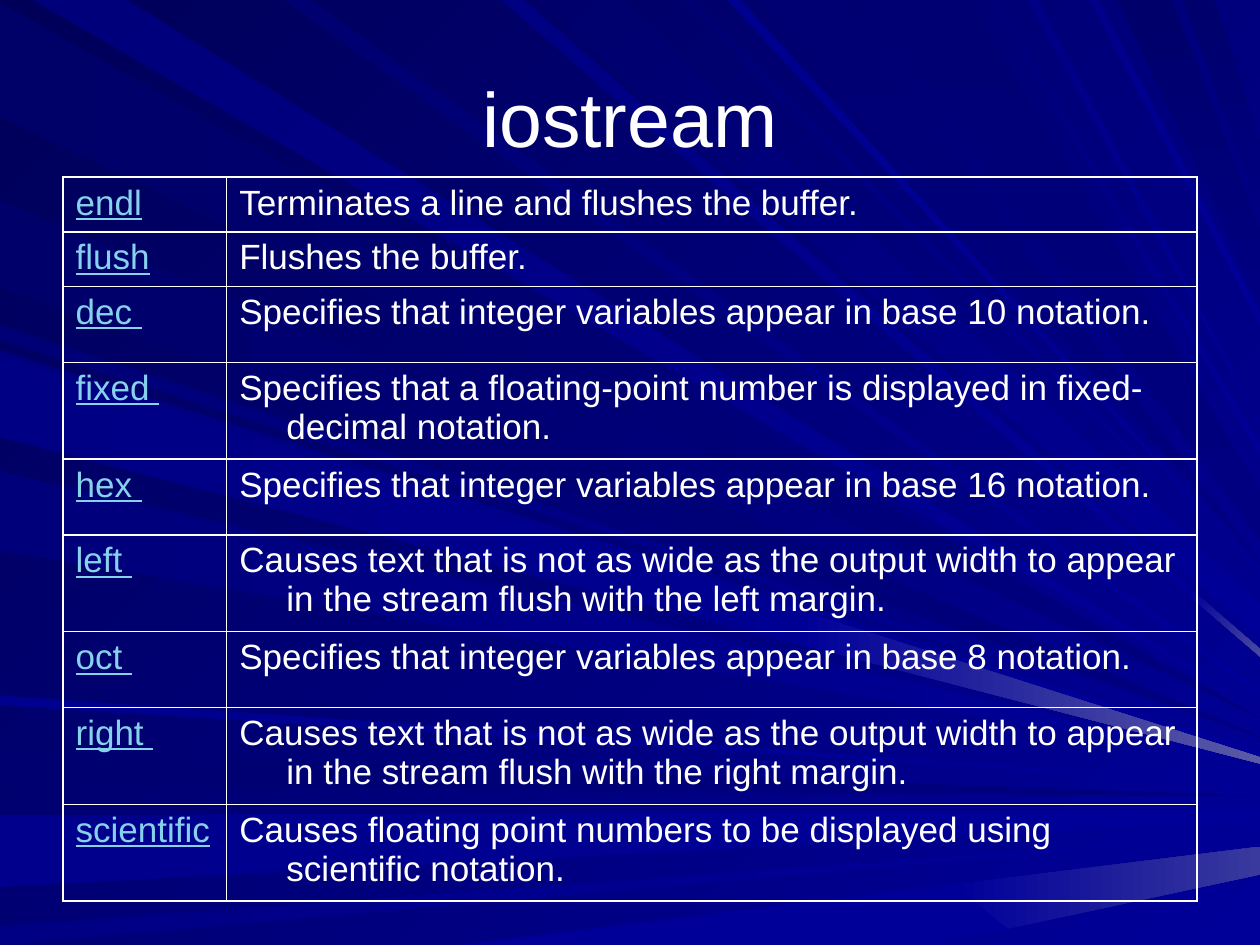
from dataclasses import dataclass
from typing import NamedTuple

from lxml import etree
from pptx import Presentation
from pptx.dml.color import RGBColor
from pptx.dml.fill import FillFormat
from pptx.enum.text import MSO_ANCHOR, PP_ALIGN
from pptx.oxml.ns import qn
from pptx.slide import Slide
from pptx.table import _Cell
from pptx.util import Cm, Length, Pt

MIDDLE = MSO_ANCHOR.MIDDLE
CENTER = PP_ALIGN.CENTER
BLANK_LAYOUT = 6


@dataclass(frozen=True)
class Theme:
    font: str = "Arial"
    text: str = "FFFFFF"
    keyword: str = "86D1EC"
    border: str = "FFFFFF"
    background_dark: str = "000058"
    ray_blue: str = "000080"
    light_blue: str = "000099"
    title_size: Length = Pt(44)
    body_size: Length = Pt(20)
    border_width: Length = Pt(1)


class Ray(NamedTuple):
    """A ray from the left or top edge to a tip on the right edge.

    Positions are in tenths of the page width.
    """
    edge: str
    near: float
    far: float
    tip: float
    start: str
    end: str
    spread: float = 0


class Glow(NamedTuple):
    """A brighter stretch of a ray."""
    corners: list[tuple[float, float]]
    end: str
    angle: int = 0


class Entry(NamedTuple):
    keyword: str
    meaning: str
    height: float


THEME = Theme()
RIGHT_EDGE = 10
TENTH = 2.54
HANGING = Cm(0.95)
SHORT, MEDIUM, TALL = 1.1, 1.53, 1.95  # row heights in cm
DIM, LIGHT = THEME.ray_blue, THEME.light_blue

RAYS = [
    Ray("left", 0.02, 0.93, 5.7, "000069", DIM),
    Ray("top", 0.26, 1.01, 5.63, "00007B", LIGHT),
    Ray("left", 5.96, 6.23, 6.32, "000071", DIM),
    Ray("left", 6.47, 7.04, 6.43, "00008C", LIGHT, 0.08),
    Ray("left", 7.35, 7.5, 6.62, "000085", LIGHT),
    Ray("left", 2.58, 2.7, 5.89, "000076", LIGHT),
    Ray("left", 1.59, 2.28, 5.85, "00006B", DIM),
    Ray("top", 3.98, 4.16, 5.15, "000083", LIGHT, 0.06),
    Ray("top", 4.26, 4.92, 4.79, "00006D", LIGHT, 0.28),
    Ray("top", 5.4, 5.52, 4.63, "000073", LIGHT),
    Ray("top", 6.06, 6.61, 4.46, "000073", DIM),
    Ray("top", 8.87, 9.3, 1.83, "00006B", DIM, 0.54),
    Ray("top", 9.39, 9.64, 1.14, "00006D", DIM, 0.53),
    Ray("left", 2.78, 3.42, 5.96, "00007E", LIGHT, 0.06),
    Ray("left", 3.74, 4.37, 6.06, "00007B", LIGHT),
    Ray("left", 5.52, 5.6, 6.22, "00008E", LIGHT),
    Ray("top", 2.25, 2.47, 5.47, "000070", LIGHT, 0.05),
    Ray("top", 5.77, 5.88, 4.54, "00008E", LIGHT),
    Ray("top", 6.86, 7.7, 3.9, "000073", DIM, 0.38),
    Ray("top", 7.85, 7.92, 3.54, "000078", LIGHT, 0.06),
    Ray("top", 8.15, 8.24, 3.36, "000085", LIGHT),
    Ray("top", 8.65, 8.72, 2.49, "00008A", LIGHT, 0.09),
    Ray("left", 2.83, 3.47, 6.01, "000085", LIGHT, 0.05),
]

GLOWS = [
    Glow([(3.64, 7.5), (7.42, 7.5), (8, 7.37), (7.56, 7.02)], LIGHT),
    Glow([(7.56, 7.02), (8, 7.37), (10, 6.94), (10, 6.72)], "39399E"),
    Glow([(9.44, 4.73), (9.47, 4.69), (10, 5.15), (10, 5.21)], "4A4AA1", 45),
    Glow([(6.37, 4.85), (6.33, 5.11), (10, 6.06), (10, 6.01)], "5A5AA6"),
]

ENTRIES = [
    Entry("endl", "Terminates a line and flushes the buffer.", SHORT),
    Entry("flush", "Flushes the buffer.", SHORT),
    Entry("dec ", "Specifies that integer variables appear in base 10 notation.", MEDIUM),
    Entry("fixed ", "Specifies that a floating-point number is displayed in fixed-decimal notation.", TALL),
    Entry("hex ", "Specifies that integer variables appear in base 16 notation.", MEDIUM),
    Entry("left ", "Causes text that is not as wide as the output width to appear "
          "in the stream flush with the left margin.", TALL),
    Entry("oct ", "Specifies that integer variables appear in base 8 notation.", MEDIUM),
    Entry("right ", "Causes text that is not as wide as the output width to appear "
          "in the stream flush with the right margin.", TALL),
    Entry("scientific", "Causes floating point numbers to be displayed using scientific notation.", TALL),
]


def paint(fill: FillFormat, start: str, end: str, angle: int) -> None:
    """Fill with a gradient whose angle runs clockwise."""
    fill.gradient()
    fill.gradient_angle = -angle % 360
    for stop, position, color in zip(fill.gradient_stops, (0, 1), (start, end)):
        stop.position = position
        stop.color.rgb = RGBColor.from_string(color)


def draw_outline(page: Slide, corners: list[tuple[float, float]],
                 start: str, end: str, angle: int) -> None:
    points = [(Cm(x * TENTH), Cm(y * TENTH)) for x, y in corners]
    builder = page.shapes.build_freeform(*points[0])
    builder.add_line_segments(points[1:], close=True)
    shape = builder.convert_to_shape()
    shape.shadow.inherit = False
    shape.line.fill.background()
    paint(shape.fill, start, end, angle)


def draw_ray(page: Slide, ray: Ray) -> None:
    upper, lower = (RIGHT_EDGE, ray.tip), (RIGHT_EDGE, ray.tip + ray.spread)
    if ray.edge == "left":
        corners = [(0, ray.near), upper, lower, (0, ray.far)]
        angle = 0
    else:
        corners = [(ray.near, 0), lower, upper, (ray.far, 0)]
        angle = 90 if ray.end == DIM else 45
    draw_outline(page, corners, ray.start, ray.end, angle)


def draw_title(page: Slide, text: str) -> None:
    box = page.shapes.add_textbox(Cm(1.27), Cm(0.76), Cm(22.86), Cm(3.18))
    frame = box.text_frame
    frame.word_wrap = True
    frame.vertical_anchor = MIDDLE
    para = frame.paragraphs[0]
    para.text = text
    para.alignment = CENTER
    para.font.name = THEME.font
    para.font.size = THEME.title_size
    para.font.color.rgb = RGBColor.from_string(THEME.text)


def fill_cell(cell: _Cell, text: str, color: str, underline: bool) -> None:
    para = cell.text_frame.paragraphs[0]
    para.text = text
    properties = para._p.get_or_add_pPr()
    properties.set("marL", str(HANGING))
    properties.set("indent", str(-HANGING))
    para.font.name = THEME.font
    para.font.size = THEME.body_size
    para.font.underline = underline
    para.font.color.rgb = RGBColor.from_string(color)
    # Borders come before the fill in the cell properties
    cell_properties = cell._tc.get_or_add_tcPr()
    for side in ("a:lnL", "a:lnR", "a:lnT", "a:lnB"):
        line = etree.SubElement(cell_properties, qn(side), w=str(THEME.border_width))
        solid = etree.SubElement(line, qn("a:solidFill"))
        etree.SubElement(solid, qn("a:srgbClr"), val=THEME.border)
    cell.fill.background()


def draw_table(page: Slide, entries: list[Entry]) -> None:
    widths = (3.3, 19.56)
    height = sum(entry.height for entry in entries)
    table = page.shapes.add_table(len(entries), len(widths), Cm(1.27), Cm(3.57),
                                  Cm(sum(widths)), Cm(height)).table
    table.first_row = False
    table.horz_banding = False
    for column, width in zip(table.columns, widths):
        column.width = Cm(width)
    for row, entry in zip(table.rows, entries):
        row.height = Cm(entry.height)
        fill_cell(row.cells[0], entry.keyword, THEME.keyword, True)
        fill_cell(row.cells[1], entry.meaning, THEME.text, False)


def main() -> None:
    deck = Presentation()
    deck.slide_width, deck.slide_height = Cm(25.4), Cm(19.05)
    page = deck.slides.add_slide(deck.slide_layouts[BLANK_LAYOUT])
    # Background with light rays
    paint(page.background.fill, THEME.background_dark, LIGHT, 45)
    for ray in RAYS:
        draw_ray(page, ray)
    for glow in GLOWS:
        draw_outline(page, glow.corners, LIGHT, glow.end, glow.angle)
    # Title and table
    draw_title(page, "iostream")
    draw_table(page, ENTRIES)
    deck.save("out.pptx")


if __name__ == "__main__":
    main()
